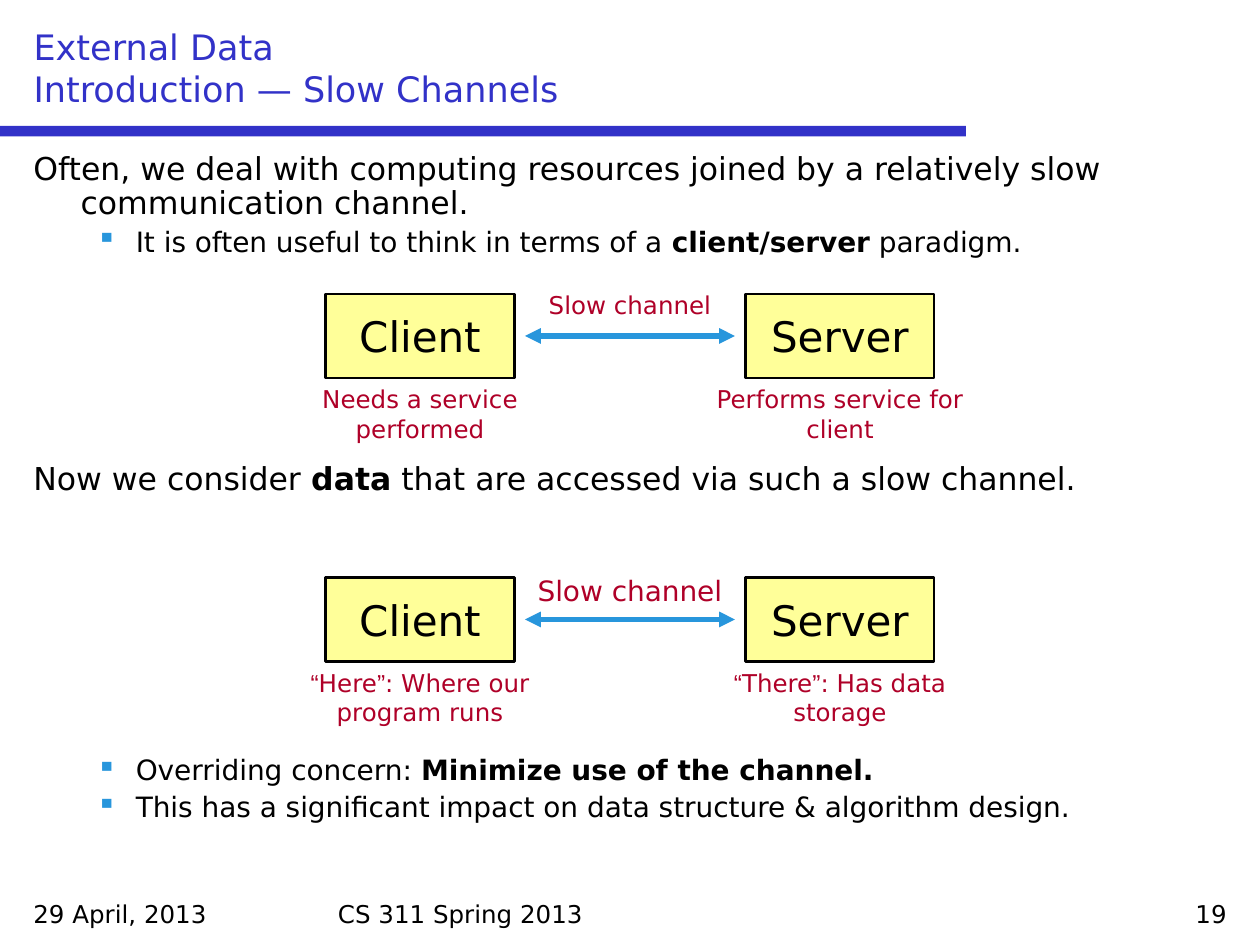
"""Builds a slide on slow channels between client and server."""
import pptx
import pptx.dml.color
import pptx.enum.shapes
import pptx.enum.text
import pptx.oxml
import pptx.oxml.ns
import pptx.util

Pt = pptx.util.Pt
ALIGN = pptx.enum.text.PP_ALIGN
ANCHOR = pptx.enum.text.MSO_ANCHOR
SHAPE = pptx.enum.shapes.MSO_SHAPE
COLORS = {"title": "3232C8", "text": "000000", "box": "FFFF99",
          "accent": "2896DC", "note": "AF0028"}


def color(name):
    """Return the named colour."""
    return pptx.dml.color.RGBColor.from_string(COLORS[name])


def set_all(obj, values):
    """Set attributes of an object from a dict."""
    for key, value in values.items():
        setattr(obj, key, value)


def make_xml(tag, attrs="", inner=""):
    """Return a drawing element."""
    ns = pptx.oxml.ns.nsdecls("a")
    return pptx.oxml.parse_xml(f"<a:{tag} {ns} {attrs}>{inner}</a:{tag}>")


def add_run(p, text, size, hue="text", **font):
    """Add a formatted run to a paragraph."""
    r = p.add_run()
    r.text = text
    set_all(r.font, {"name": "DejaVu Sans", "size": Pt(size), **font})
    r.font.color.rgb = color(hue)


def add_text(s, box, runs, size, hue="text", align=ALIGN.LEFT):
    """Add a wrapping text box with one paragraph of (text, font) runs."""
    tf = s.shapes.add_textbox(*map(Pt, box)).text_frame
    tf.word_wrap = True
    p = tf.paragraphs[0]
    p.alignment = align
    for text, font in runs:
        add_run(p, text, size, hue, **font)


def add_title(s, lines):
    """Place and format the title and the bar below it."""
    bar = s.shapes.add_shape(SHAPE.RECTANGLE, 0, Pt(72), Pt(552), Pt(6))
    bar.shadow.inherit = False
    bar.fill.solid()
    bar.fill.fore_color.rgb = color("title")
    bar.line.fill.background()
    sp = s.shapes.title
    set_all(sp, {"left": Pt(12), "top": Pt(12), "width": Pt(696), "height": Pt(54)})
    tf = sp.text_frame
    set_all(tf, {"vertical_anchor": ANCHOR.BOTTOM, "word_wrap": True,
                 "auto_size": pptx.enum.text.MSO_AUTO_SIZE.NONE})
    p = tf.paragraphs[0]
    p.alignment = ALIGN.LEFT
    for i, line in enumerate(lines):
        if i:
            p.add_line_break()
        add_run(p, line, 20, "title")


def add_body(s, items):
    """Add the body text from (level, space before, runs) items."""
    tf = s.shapes.add_textbox(Pt(12), Pt(84), Pt(696), Pt(420)).text_frame
    tf.word_wrap = True
    for i, (level, before, runs) in enumerate(items):
        p = tf.add_paragraph() if i else tf.paragraphs[0]
        set_all(p, {"level": level, "line_spacing": 0.9, "space_before": Pt(before)})
        margin, indent = ((27, -27), (58.5, -22.5))[level]
        pPr = p._p.get_or_add_pPr()
        pPr.set("marL", str(Pt(margin)))
        pPr.set("indent", str(Pt(indent)))
        if level:
            accent = f'<a:srgbClr val="{COLORS["accent"]}"/>'
            pPr.append(make_xml("buClr", inner=accent))
            pPr.append(make_xml("buChar", 'char="▪"'))
        for text, bold in runs:
            add_run(p, text, (18, 16)[level], bold=bold)


def add_box(s, left, top, text):
    """Add a labelled computer box."""
    sp = s.shapes.add_shape(SHAPE.RECTANGLE, *map(Pt, (left, top, 108, 48)))
    sp.shadow.inherit = False
    sp.fill.solid()
    sp.fill.fore_color.rgb = color("box")
    sp.line.color.rgb = color("text")
    sp.line.width = Pt(1.25)
    tf = sp.text_frame
    set_all(tf, {"vertical_anchor": ANCHOR.MIDDLE, "word_wrap": False})
    p = tf.paragraphs[0]
    p.alignment = ALIGN.CENTER
    add_run(p, text, 24)


def add_arrow(s, x1, x2, y):
    """Add a horizontal double-headed arrow."""
    sp = s.shapes.add_connector(pptx.enum.shapes.MSO_CONNECTOR.STRAIGHT,
                                *map(Pt, (x1, y, x2, y)))
    sp.line.color.rgb = color("accent")
    sp.line.width = Pt(3)
    ln = sp.line._get_or_add_ln()
    for tag in ("headEnd", "tailEnd"):
        ln.append(make_xml(tag, 'type="triangle"'))
    sp._element.spPr.append(make_xml("effectLst"))


def add_channel(s, top, label_size, captions):
    """Add a client and a server joined by a slow channel."""
    for left, name, runs in zip((186, 426), ("Client", "Server"), captions):
        add_box(s, left, top, name)
        add_text(s, (left - 30, top + 48, 168, 41), runs, 14, "note", ALIGN.CENTER)
    add_arrow(s, 300, 420, top + 24)
    add_text(s, (282, top - 6, 156, 26), [("Slow channel", {})],
             label_size, "note", ALIGN.CENTER)


def quoted(word, rest):
    """Return runs for a quoted word and the text after it."""
    return [("“", {"name": "Arial"}), (word, {}), ("”", {"name": "Arial"}), (rest, {})]


def main():
    """Build and save the slide."""
    prs = pptx.Presentation()
    set_all(prs, {"slide_width": Pt(720), "slide_height": Pt(540)})
    s = prs.slides.add_slide(prs.slide_layouts[5])
    add_title(s, ["External Data", "Introduction — Slow Channels"])
    add_body(s, [
        (0, 3.8, [("Often, we deal with computing resources joined by a relatively "
                   "slow communication channel.", False)]),
        (1, 3.8, [("It is often useful to think in terms of a ", False),
                  ("client/server", True), (" paradigm.", False)]),
        (0, 117.5, [("Now we consider ", False), ("data", True),
                    (" that are accessed via such a slow channel.", False)]),
        (1, 148, [("Overriding concern: ", False),
                  ("Minimize use of the channel.", True)]),
        (1, 3.8, [("This has a significant impact on data structure & algorithm "
                   "design.", False)]),
    ])
    add_channel(s, 168, 14, [[("Needs a service performed", {})],
                             [("Performs service for client", {})]])
    add_channel(s, 330, 16, [quoted("Here", ": Where our program runs"),
                             quoted("There", ": Has data storage")])
    for left, width, text, align in ((12, 168, "29 April, 2013", ALIGN.LEFT),
                                     (186, 348, "CS 311 Spring 2013", ALIGN.LEFT),
                                     (540, 168, "19", ALIGN.RIGHT)):
        add_text(s, (left, 510, width, 24), [(text, {})], 14, align=align)
    prs.save("out.pptx")


main()
